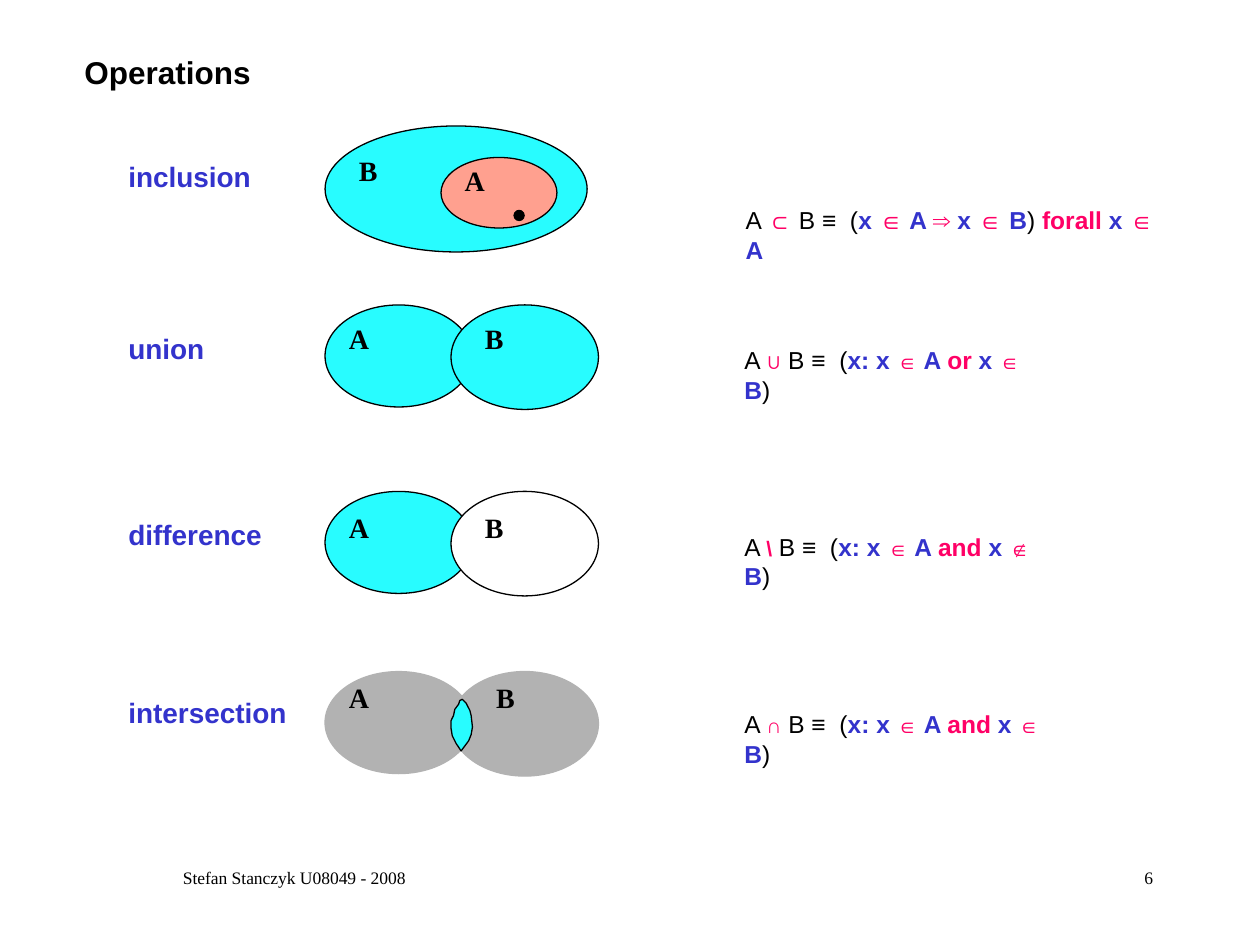
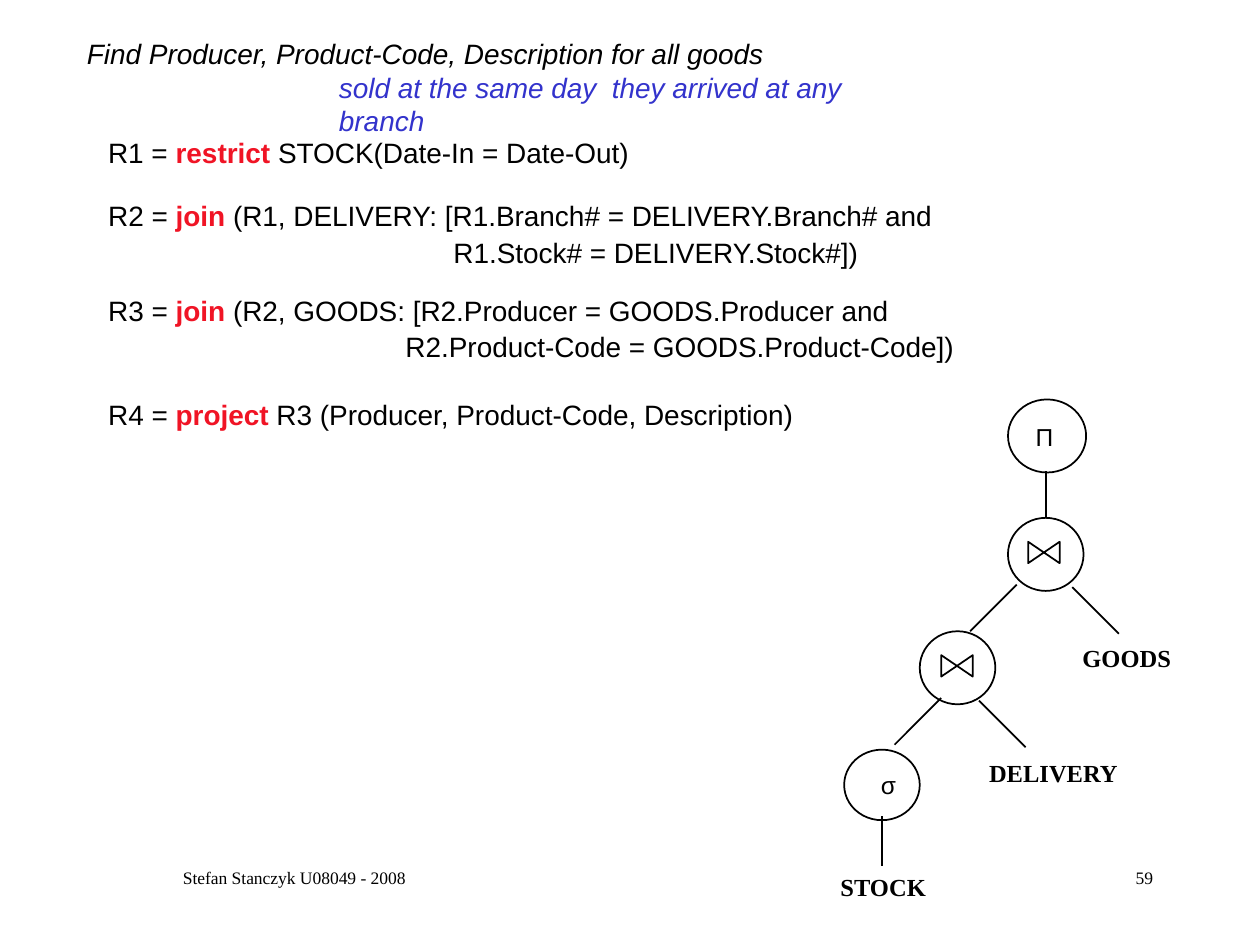
import pptx
import pptx.dml.color
import pptx.enum.shapes
import pptx.enum.text
import pptx.oxml.ns
import pptx.util
from lxml import etree

Inches = pptx.util.Inches
Pt = pptx.util.Pt
rgb = pptx.dml.color.RGBColor.from_string
OVAL = pptx.enum.shapes.MSO_SHAPE.OVAL
STRAIGHT = pptx.enum.shapes.MSO_CONNECTOR.STRAIGHT
ALIGN = pptx.enum.text.PP_ALIGN

SANS, SERIF = "Arial", "Times New Roman"
BLACK, WHITE, BLUE, PINK, RED = "000000", "FFFFFF", "3333CC", "FF0066", "F01425"
CYAN, SALMON, GREY = "28FCFF", "FFA08F", "B2B2B2"


def paint(shape, fill, line, width):
    shape.shadow.inherit = False
    shape.fill.solid()
    shape.fill.fore_color.rgb = rgb(fill)
    shape.line.color.rgb = rgb(line)
    shape.line.width = Pt(width)


def write(box, place, paragraphs, font=SANS, align=ALIGN.LEFT, inset=0.1, spacing=None, wrap=False):
    box.left, box.top, box.width, box.height = [Inches(n) for n in place]
    frame = box.text_frame
    frame.word_wrap = wrap
    frame.auto_size = pptx.enum.text.MSO_AUTO_SIZE.NONE
    frame.vertical_anchor = pptx.enum.text.MSO_ANCHOR.TOP
    frame.margin_left = frame.margin_right = Inches(inset)
    frame.margin_top = frame.margin_bottom = Inches(inset / 2)
    for index, (indent, runs) in enumerate(paragraphs):
        paragraph = frame.add_paragraph() if index else frame.paragraphs[0]
        paragraph.alignment = align
        if spacing:
            paragraph.line_spacing = spacing
        if indent:
            properties = paragraph._p.get_or_add_pPr()
            properties.set("marL", str(Inches(indent)))
            properties.set("indent", "0")
        for text, size, colour, style in runs:
            run = paragraph.add_run()
            run.text = text
            run.font.name = font
            run.font.size = Pt(size)
            run.font.bold = style == "bold"
            run.font.italic = style == "italic"
            run.font.color.rgb = rgb(colour)


prs = pptx.Presentation()
prs.slide_width = Inches(10)
prs.slide_height = Inches(7.5)
title_only = prs.slide_layouts[5]
operations = prs.slides.add_slide(title_only)
query = prs.slides.add_slide(title_only)

write(operations.shapes.title, (0.57, 0.37, 1.52, 0.4), [(0, [("Operations", 18, BLACK, "bold")])])
write(query.shapes.title, (0.59, 0.24, 6.93, 0.64), [
    (0, [("Find Producer, Product-Code, Description for all goods", 16, BLACK, "italic")]),
    (2, [("sold at the same day  they arrived at any branch", 16, BLUE, "italic")]),
])

for slide, number in ((operations, "6"), (query, "59")):
    for place, text, align in (
        ((0.75, 6.83, 3.17, 0.5), "Stefan Stanczyk U08049 - 2008", ALIGN.CENTER),
        ((7.17, 6.83, 2.08, 0.5), number, ALIGN.RIGHT),
    ):
        write(slide.shapes.add_textbox(0, 0, 0, 0), place, [(0, [(text, 10, BLACK, "")])],
              SERIF, align, wrap=True)

for place, fill, line in (
    ((2.58, 1, 2.08, 1), CYAN, BLACK),
    ((3.5, 1.25, 0.92, 0.56), SALMON, BLACK),
    ((4.08, 1.67, 0.08, 0.08), BLACK, BLACK),
    ((2.58, 2.42, 1.17, 0.81), CYAN, BLACK),
    ((3.58, 2.42, 1.17, 0.83), CYAN, BLACK),
    ((2.58, 3.9, 1.17, 0.81), CYAN, BLACK),
    ((3.58, 3.9, 1.17, 0.83), WHITE, BLACK),
    ((2.58, 5.33, 1.17, 0.81), GREY, GREY),
    ((3.58, 5.33, 1.17, 0.83), GREY, GREY),
):
    paint(operations.shapes.add_shape(OVAL, *[Inches(n) for n in place]), fill, line, 0.75)

overlap_edge = [
    (3.66, 5.96), (3.64, 5.93), (3.62, 5.9), (3.59, 5.84), (3.58, 5.78), (3.58, 5.72),
    (3.59, 5.7), (3.6, 5.68), (3.61, 5.63), (3.64, 5.59), (3.65, 5.56), (3.67, 5.55),
    (3.7, 5.58), (3.73, 5.64), (3.74, 5.68), (3.75, 5.77), (3.74, 5.83), (3.72, 5.88),
    (3.69, 5.92),
]
corners = [(Inches(x), Inches(y)) for x, y in overlap_edge]
overlap = operations.shapes.build_freeform(*corners[0])
overlap.add_line_segments(corners[1:], close=True)
paint(overlap.convert_to_shape(), CYAN, BLACK, 0.75)

inclusion = [
    ("A ", BLACK), ("⊂", PINK), (" B ≡  (", BLACK), ("x ", BLUE), ("∈", PINK), (" A ", BLUE),
    ("⇒", PINK), (" x ", BLUE), ("∈", PINK), (" B", BLUE), (") ", BLACK), ("forall ", PINK),
    ("x ", BLUE), ("∈", PINK), (" A", BLUE),
]
formulas = [inclusion] + [
    [("A ", BLACK), (operator, PINK), (" B ≡  (", BLACK), ("x: x ", BLUE), ("∈", PINK),
     (" A ", BLUE), (logic, PINK), ("x ", BLUE), (member, PINK), (" B", BLUE), (")", BLACK)]
    for operator, logic, member in (("∪", "or ", "∈"), ("\\", "and ", "∉"), ("∩", "and ", "∈"))
]
rows = (
    ("inclusion", 1.22, 1.17, (3.59, 1.25), (2.75, 1.17), (5.82, 1.58, 3.56), 14),
    ("union", 2.58, 0.8, (2.67, 2.5), (3.75, 2.5), (5.81, 2.69, 2.5), 12),
    ("difference", 4.06, 1.26, (2.67, 4), (3.75, 4), (5.81, 4.17, 2.57), 12),
    ("intersection", 5.47, 1.45, (2.67, 5.35), (3.84, 5.35), (5.81, 5.58, 2.65), 12),
)
for (name, top, width, a_spot, b_spot, formula_spot, symbol_size), formula in zip(rows, formulas):
    write(operations.shapes.add_textbox(0, 0, 0, 0), (0.92, top, width, 0.37),
          [(0, [(name, 16, BLUE, "bold")])])
    for letter, spot in (("A", a_spot), ("B", b_spot)):
        write(operations.shapes.add_textbox(0, 0, 0, 0), (*spot, 0.36, 0.37),
              [(0, [(letter, 16, BLACK, "bold")])], SERIF)
    runs = [
        (text, symbol_size if colour == PINK and len(text) == 1 else 14, colour,
         "" if colour == BLACK else "bold")
        for text, colour in formula
    ]
    write(operations.shapes.add_textbox(0, 0, 0, 0), (*formula_spot, 0.34), [(0, runs)], wrap=True)

steps = (
    ((0.76, 1, 4.34, 0.4), "R1 = ", "restrict", " STOCK(Date-In = Date-Out)", 0, ""),
    ((0.76, 1.5, 6.79, 0.69), "R2 = ", "join",
     " (R1, DELIVERY: [R1.Branch# = DELIVERY.Branch# and", 2.74, "R1.Stock# = DELIVERY.Stock#])"),
    ((0.76, 2.25, 6.92, 0.69), "R3 = ", "join",
     " (R2, GOODS: [R2.Producer = GOODS.Producer and", 2.36,
     "R2.Product-Code = GOODS.Product-Code])"),
    ((0.76, 3.08, 5.65, 0.4), "R4 = ", "project",
     " R3 (Producer, Product-Code, Description)", 0, ""),
)
for place, result, keyword, operands, indent, continuation in steps:
    lines = [(0, [(result, 16, BLACK, ""), (keyword, 16, RED, "bold"), (operands, 16, BLACK, "")])]
    if continuation:
        lines.append((indent, [(continuation, 16, BLACK, "")]))
    write(query.shapes.add_textbox(0, 0, 0, 0), place, lines, spacing=1.1)

for place in ((8, 3.17, 0.62, 0.58), (8, 4.11, 0.6, 0.58), (7.3, 5.01, 0.6, 0.58), (6.7, 5.95, 0.6, 0.56)):
    paint(query.shapes.add_shape(OVAL, *[Inches(n) for n in place]), WHITE, BLACK, 1)

for left, top in ((8.16, 4.3), (7.47, 5.2)):
    x, right, y, bottom = [Inches(n) for n in (left, left + 0.25, top, top + 0.17)]
    join_sign = query.shapes.build_freeform(x, y)
    join_sign.add_line_segments([(x, bottom), (right, y), (right, bottom)], close=True)
    paint(join_sign.convert_to_shape(), WHITE, BLACK, 1)

for ends in (
    (8.3, 4.11, 8.3, 3.74),
    (8.07, 4.64, 7.7, 5.01),
    (8.51, 4.66, 8.88, 5.03),
    (7.47, 5.54, 7.1, 5.91),
    (7.77, 5.56, 8.14, 5.93),
    (7, 6.87, 7, 6.48),
):
    branch = query.shapes.add_connector(STRAIGHT, *[Inches(n) for n in ends])
    branch.line.color.rgb = rgb(BLACK)
    branch.line.width = Pt(1)
    etree.SubElement(branch._element.spPr, pptx.oxml.ns.qn("a:effectLst"))

for place, text, font, style in (
    ((8.22, 3.35, 0.15, 0.23), "Π", SANS, ""),
    ((6.99, 6.11, 0.12, 0.23), "σ", SANS, ""),
    ((8.59, 5.1, 0.71, 0.23), "GOODS", SERIF, "bold"),
    ((7.85, 6.02, 1.03, 0.23), "DELIVERY", SERIF, "bold"),
    ((6.67, 6.92, 0.68, 0.23), "STOCK", SERIF, "bold"),
):
    write(query.shapes.add_textbox(0, 0, 0, 0), place, [(0, [(text, 14, BLACK, style)])], font, inset=0)

prs.save("out.pptx")
